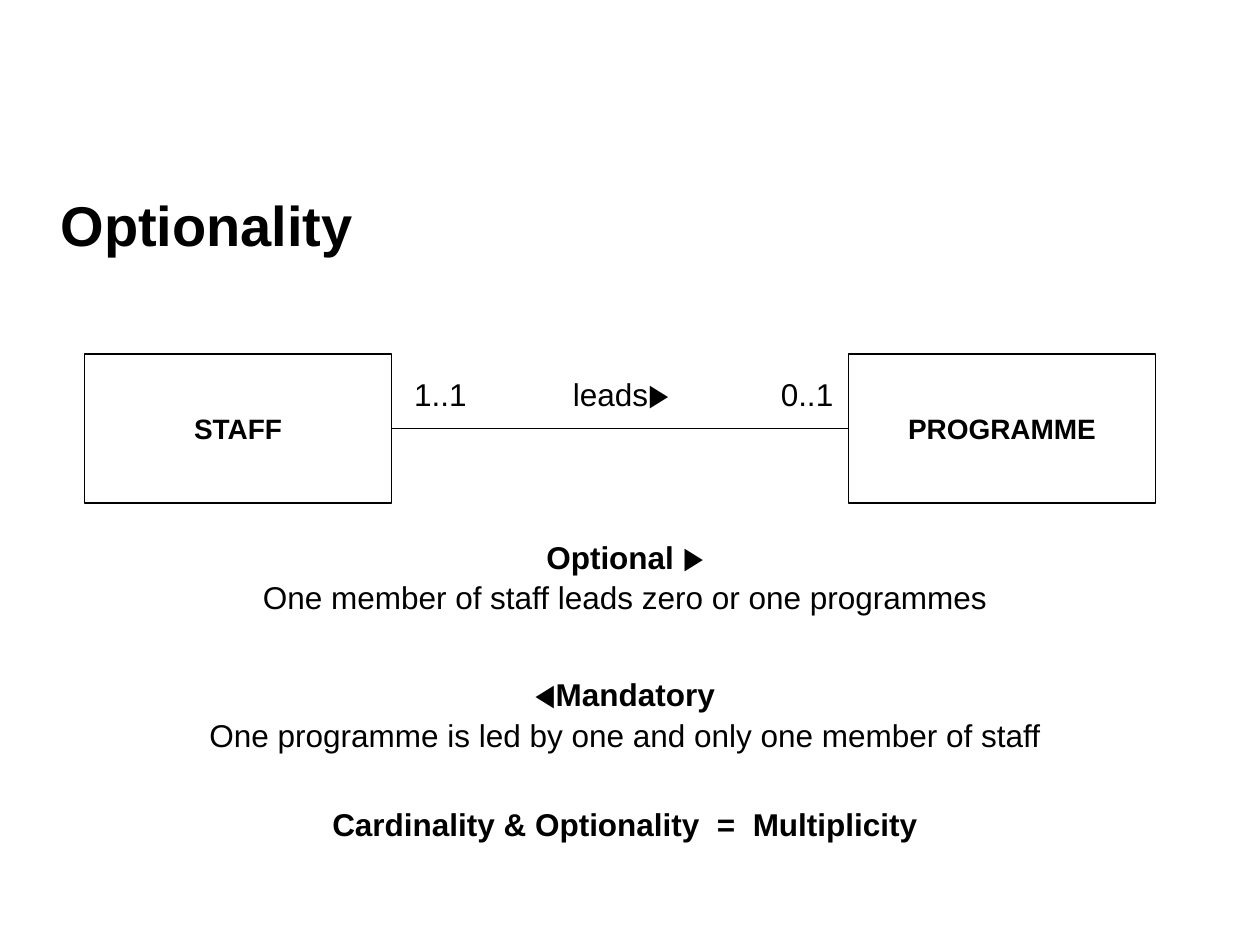
from pptx import Presentation
from pptx.dml.color import RGBColor
from pptx.enum.shapes import MSO_CONNECTOR, MSO_SHAPE
from pptx.enum.text import MSO_ANCHOR, PP_ALIGN
from pptx.oxml.ns import qn
from pptx.util import Cm, Pt
from lxml import etree

BLACK = RGBColor(0, 0, 0)
WHITE = RGBColor(255, 255, 255)
LEFT, CENTER = PP_ALIGN.LEFT, PP_ALIGN.CENTER
MIDDLE = MSO_ANCHOR.MIDDLE
RECTANGLE = MSO_SHAPE.RECTANGLE
STRAIGHT = MSO_CONNECTOR.STRAIGHT


def write(frame, text, size, bold=False, align=LEFT):
    frame.word_wrap = True
    frame.text = text
    paragraph = frame.paragraphs[0]
    paragraph.alignment = align
    font = paragraph.runs[0].font
    font.name = "Arial"
    font.size = Pt(size)
    font.bold = bold
    font.color.rgb = BLACK


def add_text(left, top, width, height, text, size=18, bold=False, align=LEFT):
    box = slide.shapes.add_textbox(Cm(left), Cm(top), Cm(width), Cm(height))
    write(box.text_frame, text, size, bold, align)
    return box.text_frame


prs = Presentation()
prs.slide_width = Cm(25.4)
prs.slide_height = Cm(19.05)
slide = prs.slides.add_slide(prs.slide_layouts[6])

title = add_text(0.97, 3.56, 23.47, 1.93, "Optionality", 32, True)
title.vertical_anchor = MIDDLE

entities = []
for left, name in ((1.7, "STAFF"), (17.1, "PROGRAMME")):
    entity = slide.shapes.add_shape(RECTANGLE, Cm(left), Cm(7.14), Cm(6.2), Cm(3))
    entity.shadow.inherit = False
    entity.fill.solid()
    entity.fill.fore_color.rgb = WHITE
    entity.line.color.rgb = BLACK
    entity.line.width = Pt(0.75)
    write(entity.text_frame, name, 16, True, CENTER)
    entity.text_frame.vertical_anchor = MIDDLE
    entities.append(entity)

staff, programme = entities
relationship = slide.shapes.add_connector(STRAIGHT, 0, 0, 0, 0)
relationship.begin_connect(staff, 3)
relationship.end_connect(programme, 1)
relationship.line.color.rgb = BLACK
relationship.line.width = Pt(0.75)
etree.SubElement(relationship._element.spPr, qn("a:effectLst"))

verb = add_text(11.3, 7.44, 4, 1.02, "leads")
direction = verb.paragraphs[0].add_run()
direction.text = "▶"
direction.font.name = "Times New Roman"
direction.font.size = Pt(18)
direction.font.color.rgb = BLACK

for left, multiplicity in ((8.1, "1..1"), (15.49, "0..1")):
    add_text(left, 7.44, 1.8, 1.02, multiplicity)

for left, top, width, statement, bold in (
    (4.9, 10.72, 15.4, "Optional ▶", True),
    (4.9, 11.53, 15.4, "One member of staff leads zero or one programmes", False),
    (4.9, 13.49, 15.4, "◀Mandatory", True),
    (3.9, 14.3, 17.4, "One programme is led by one and only one member of staff", False),
    (3.9, 16.1, 17.4, "Cardinality & Optionality  =  Multiplicity", True),
):
    add_text(left, top, width, 1.02, statement, bold=bold, align=CENTER)

prs.save("out.pptx")
